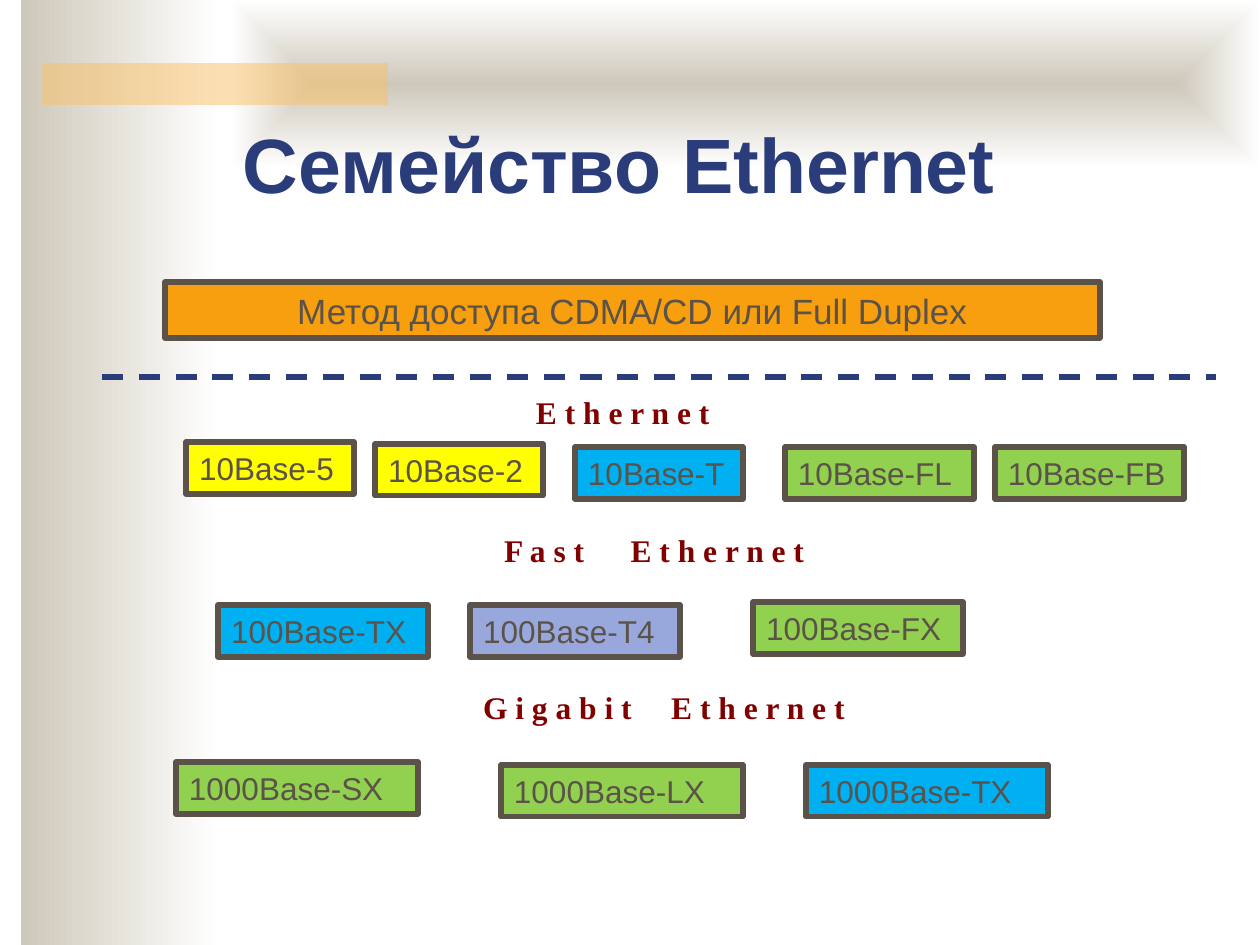
from lxml import etree
from pptx import Presentation
from pptx.dml.color import RGBColor
from pptx.enum.dml import MSO_LINE
from pptx.enum.shapes import MSO_CONNECTOR, MSO_SHAPE
from pptx.enum.text import MSO_ANCHOR, PP_ALIGN
from pptx.oxml.ns import qn
from pptx.util import Emu, Pt

RECTANGLE = MSO_SHAPE.RECTANGLE
STRAIGHT = MSO_CONNECTOR.STRAIGHT
DASH = MSO_LINE.DASH
TOP, MIDDLE = MSO_ANCHOR.TOP, MSO_ANCHOR.MIDDLE
LEFT, CENTER = PP_ALIGN.LEFT, PP_ALIGN.CENTER

EMU_PER_PX = 914400 / 126
NAVY = RGBColor(0x2A, 0x3D, 0x7A)
BROWN = RGBColor(0x5B, 0x52, 0x49)
MAROON = RGBColor(0x80, 0x00, 0x00)
BEIGE = RGBColor(0xCE, 0xC8, 0xBA)
WHITE = RGBColor(0xFF, 0xFF, 0xFF)
SAND = RGBColor(0xFA, 0xC1, 0x64)
ORANGE = RGBColor(0xF7, 0x9F, 0x0F)
YELLOW = RGBColor(0xFF, 0xFF, 0x00)
BLUE = RGBColor(0x00, 0xB0, 0xF0)
GREEN = RGBColor(0x92, 0xD0, 0x50)
LAVENDER = RGBColor(0x98, 0xA8, 0xDC)

TITLE_FONT = {"name": "Arial", "size": Pt(44), "bold": True}
METHOD_FONT = {"name": "Arial", "size": Pt(20)}
BOX_FONT = {"name": "Arial", "size": Pt(18)}
HEADING_FONT = {"name": "Times New Roman", "size": Pt(18), "bold": True}

BOX_HEIGHT = 52


def px(value):
    return Emu(round(value * EMU_PER_PX))


def set_all(target, values):
    for name, value in values.items():
        setattr(target, name, value)


class SlideBuilder:
    def __init__(self, slide):
        self.slide = slide
        self.shapes = slide.shapes

    def format_run(self, run, text, font, color):
        run.text = text
        set_all(run.font, font)
        run.font.color.rgb = color

    def format_frame(self, frame, anchor, alignment, margin_top=6):
        set_all(frame, {"word_wrap": True, "vertical_anchor": anchor,
                        "margin_left": px(13), "margin_right": px(13),
                        "margin_top": px(margin_top), "margin_bottom": px(6)})
        paragraph = frame.paragraphs[0]
        paragraph.alignment = alignment
        return paragraph

    def title(self, text, left, top, width, height):
        title = self.shapes.title
        set_all(title, {"left": px(left), "top": px(top),
                        "width": px(width), "height": px(height)})
        paragraph = self.format_frame(title.text_frame, TOP, CENTER, margin_top=14)
        self.format_run(paragraph.add_run(), text, TITLE_FONT, NAVY)
        # Bring the title in front of the decoration
        title._element.getparent().append(title._element)

    def rectangle(self, left, top, width, height):
        shape = self.shapes.add_shape(RECTANGLE, px(left), px(top), px(width), px(height))
        shape.shadow.inherit = False
        shape.line.fill.background()
        return shape

    def gradient(self, left, top, width, height, from_center=False):
        shape = self.rectangle(left, top, width, height)
        shape.fill.gradient()
        shape.fill.gradient_angle = 0
        for stop, color in zip(shape.fill.gradient_stops, (BEIGE, WHITE)):
            stop.color.rgb = color
        if from_center:
            linear = shape._element.spPr.find(".//" + qn("a:lin"))
            shading = etree.Element(qn("a:path"), {"path": "shape"})
            etree.SubElement(shading, qn("a:fillToRect"),
                             dict.fromkeys("ltrb", "50000"))
            linear.getparent().replace(linear, shading)

    def translucent(self, left, top, width, height, color, percent):
        shape = self.rectangle(left, top, width, height)
        shape.fill.solid()
        shape.fill.fore_color.rgb = color
        rgb = shape._element.spPr.find(".//" + qn("a:srgbClr"))
        etree.SubElement(rgb, qn("a:alpha"), {"val": str(percent * 1000)})

    def box(self, text, left, top, width, height, color, font=BOX_FONT, alignment=LEFT):
        shape = self.rectangle(left, top, width, height)
        shape.fill.solid()
        shape.fill.fore_color.rgb = color
        shape.line.color.rgb = BROWN
        shape.line.width = Pt(3)
        paragraph = self.format_frame(shape.text_frame, MIDDLE, alignment)
        self.format_run(paragraph.add_run(), text, font, BROWN)

    def heading(self, words, left, top, width, gap_points=0):
        text_box = self.shapes.add_textbox(px(left), px(top), px(width), px(BOX_HEIGHT))
        paragraph = self.format_frame(text_box.text_frame, TOP, LEFT)
        for index, word in enumerate(words):
            if index:
                gap = paragraph.add_run()
                self.format_run(gap, " ", HEADING_FONT, MAROON)
                gap._r.get_or_add_rPr().set("spc", str(gap_points * 100))
            self.format_run(paragraph.add_run(), " ".join(word), HEADING_FONT, MAROON)

    def dashed_line(self, left, right, y):
        line = self.shapes.add_connector(STRAIGHT, px(left), px(y), px(right), px(y))
        line.line.color.rgb = NAVY
        set_all(line.line, {"width": Pt(3), "dash_style": DASH})
        etree.SubElement(line._element.spPr, qn("a:effectLst"))


def main():
    presentation = Presentation()
    presentation.slide_width = px(1260)
    presentation.slide_height = px(945)
    title_only = presentation.slide_layouts[5]
    builder = SlideBuilder(presentation.slides.add_slide(title_only))

    # Background decoration
    builder.gradient(21, 0, 199, 945)
    builder.gradient(231, 0, 1029, 168, from_center=True)
    builder.translucent(42, 63, 346, 42, SAND, 50)

    builder.title("Семейство Ethernet ", 0, 103, 1260, 131)

    # Access method and divider
    builder.box("Метод доступа CDMA/CD или Full Duplex", 165, 282, 935, 56,
                ORANGE, METHOD_FONT, CENTER)
    builder.dashed_line(102, 1216, 377)

    # Family headings
    builder.heading(["Ethernet"], 523, 387, 336)
    builder.heading(["Fast", "Ethernet"], 491, 525, 336, gap_points=22)
    builder.heading(["Gigabit", "Ethernet"], 470, 682, 420, gap_points=18)

    # Members of each family: name, left, top, width, colour
    members = [
        ("10Base-5", 186, 442, 168, YELLOW),
        ("10Base-2", 375, 444, 168, YELLOW),
        ("10Base-T", 575, 447, 168, BLUE),
        ("10Base-FL", 785, 447, 189, GREEN),
        ("10Base-FB", 995, 447, 189, GREEN),
        ("100Base-TX", 218, 605, 210, BLUE),
        ("100Base-T4", 470, 605, 210, LAVENDER),
        ("100Base-FX", 753, 602, 210, GREEN),
        ("1000Base-SX", 176, 762, 242, GREEN),
        ("1000Base-LX", 501, 765, 242, GREEN),
        ("1000Base-TX", 806, 765, 242, BLUE),
    ]
    for name, left, top, width, color in members:
        builder.box(name, left, top, width, BOX_HEIGHT, color)

    presentation.save("out.pptx")


if __name__ == "__main__":
    main()
